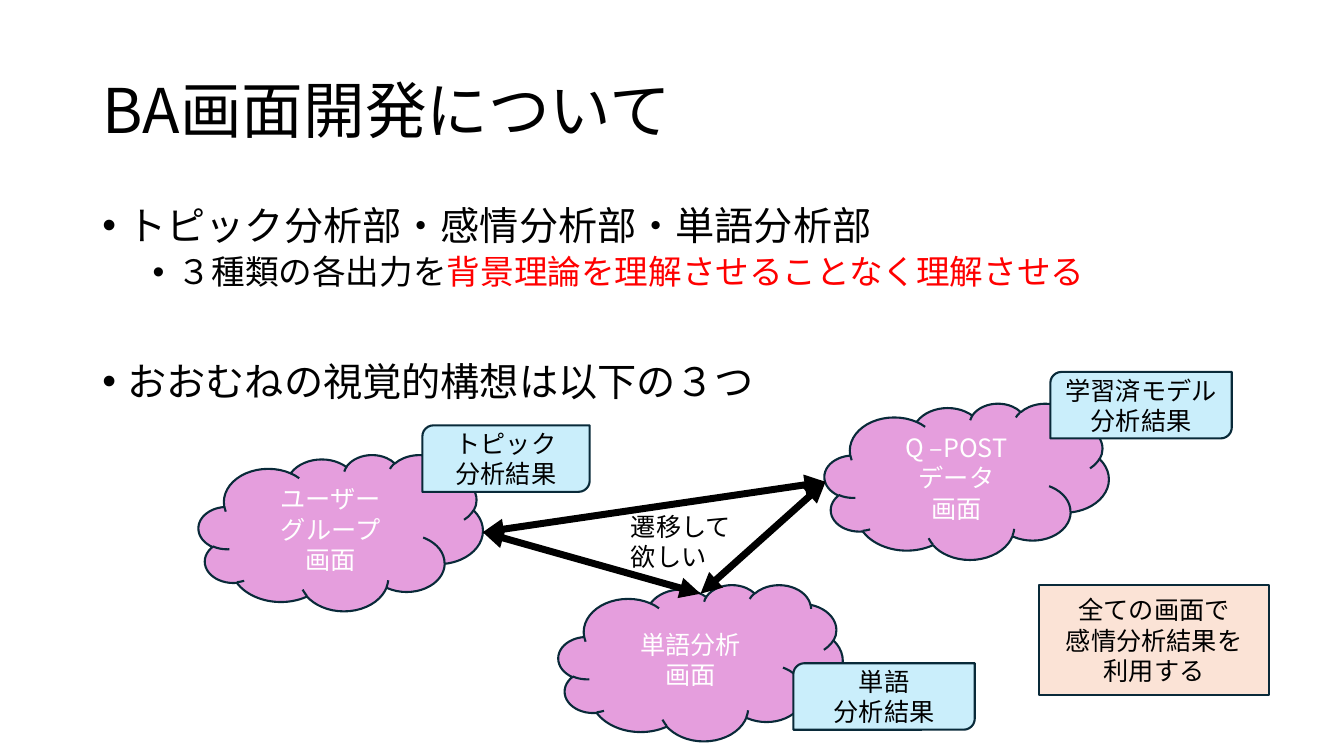
from dataclasses import dataclass
from itertools import combinations

from lxml.etree import SubElement
from pptx import Presentation
from pptx.dml.color import RGBColor
from pptx.enum.shapes import MSO_CONNECTOR, MSO_SHAPE
from pptx.enum.text import MSO_ANCHOR, PP_ALIGN
from pptx.oxml.ns import qn
from pptx.util import Emu, Inches, Pt

FONT = "Noto Sans CJK JP"
BLACK = RGBColor(0x00, 0x00, 0x00)
WHITE = RGBColor(0xFF, 0xFF, 0xFF)
RED = RGBColor(0xFF, 0x00, 0x00)
NAVY = RGBColor(0x09, 0x2A, 0x39)
PINK = RGBColor(0xE5, 0x9E, 0xDD)
SKY = RGBColor(0xCA, 0xEE, 0xFB)
PEACH = RGBColor(0xFB, 0xE3, 0xD6)

COLUMNS, ROWS = 40, 22.5
SLIDE_W, SLIDE_H = Inches(13.33), Inches(7.5)


@dataclass(frozen=True)
class Box:
    """A rectangle in grid columns and rows."""
    col: float
    row: float
    cols: float
    rows: float

    def emu(self) -> tuple:
        return (x(self.col), y(self.row), x(self.cols), y(self.rows))


@dataclass(frozen=True)
class Style:
    shape: MSO_SHAPE
    fill: RGBColor
    color: RGBColor


@dataclass(frozen=True)
class Node:
    style: Style
    box: Box
    lines: tuple


@dataclass(frozen=True)
class Bullet:
    runs: tuple
    size: int
    margin: float
    before: int


SCREEN = Style(MSO_SHAPE.CLOUD, PINK, WHITE)
RESULT = Style(MSO_SHAPE.ROUND_2_DIAG_RECTANGLE, SKY, BLACK)
NOTE = Style(MSO_SHAPE.RECTANGLE, PEACH, BLACK)

TITLE_BOX = Box(2.75, 1.2, 34.5, 4.35)
BODY_BOX = Box(2.75, 6, 34.5, 14.28)
CAPTION_BOX = Box(18.48, 15.06, 3.66, 2.13)

BULLETS = (
    Bullet((("トピック分析部・感情分析部・単語分析部", BLACK),), 28, 0.25, 10),
    Bullet((("３種類の各出力を", BLACK),
            ("背景理論を理解させることなく理解させる", RED)), 24, 0.75, 5),
    Bullet((("おおむねの視覚的構想は以下の３つ", BLACK),), 28, 0.25, 50),
)

NODES = (
    Node(SCREEN, Box(5.91, 13.53, 8.46, 4.65), ("ユーザー", "グループ", "画面")),
    Node(SCREEN, Box(24.54, 12, 8.46, 4.65), ("Q –POST", "データ", "画面")),
    Node(SCREEN, Box(16.62, 17.4, 8.46, 4.65), ("単語分析", "画面")),
    Node(RESULT, Box(12.57, 12.66, 4.98, 1.98), ("トピック", "分析結果")),
    Node(RESULT, Box(31.26, 11.07, 5.4, 1.98), ("学習済モデル", "分析結果")),
    Node(RESULT, Box(23.61, 19.74, 5.4, 1.98), ("単語", "分析結果")),
    Node(NOTE, Box(30.93, 17.4, 6.84, 3.3),
         ("全ての画面で", "感情分析結果を", "利用する")),
)

# Where the arrows meet the edges of the three clouds
CLOUD_EDGES = ((14.37, 15.84), (24.57, 14.34), (20.85, 17.67))


def x(cols: float) -> Emu:
    return Emu(round(SLIDE_W * cols / COLUMNS))


def y(rows: float) -> Emu:
    return Emu(round(SLIDE_H * rows / ROWS))


def add_run(p, text: str, size: int, color: RGBColor) -> None:
    r = p.add_run()
    r.text = text
    r.font.size = Pt(size)
    r.font.name = FONT
    r.font.color.rgb = color
    SubElement(r.font._element, qn("a:ea"), typeface=FONT)


def add_lines(p, lines: tuple, color: RGBColor) -> None:
    for i, line in enumerate(lines):
        if i:
            p.add_line_break()
        add_run(p, line, 18, color)


def add_text_frame(s, box: Box, anchor: MSO_ANCHOR = MSO_ANCHOR.TOP):
    tf = s.shapes.add_textbox(*box.emu()).text_frame
    tf.word_wrap = True
    tf.vertical_anchor = anchor
    return tf


def add_title(s, text: str) -> None:
    p = add_text_frame(s, TITLE_BOX, MSO_ANCHOR.MIDDLE).paragraphs[0]
    p.line_spacing = 0.9
    add_run(p, text, 44, BLACK)


def add_bullets(s, bullets: tuple) -> None:
    tf = add_text_frame(s, BODY_BOX)
    for i, bullet in enumerate(bullets):
        p = tf.add_paragraph() if i else tf.paragraphs[0]
        p.line_spacing = 0.9
        p.space_before = Pt(bullet.before)
        pPr = p._p.get_or_add_pPr()
        pPr.set("marL", str(Inches(bullet.margin)))
        pPr.set("indent", str(-Inches(0.25)))
        SubElement(pPr, qn("a:buFont"), typeface="Arial")
        SubElement(pPr, qn("a:buChar"), char="•")
        for text, color in bullet.runs:
            add_run(p, text, bullet.size, color)


def add_node(s, node: Node) -> None:
    sp = s.shapes.add_shape(node.style.shape, *node.box.emu())
    sp.shadow.inherit = False
    sp.fill.solid()
    sp.fill.fore_color.rgb = node.style.fill
    sp.line.color.rgb = NAVY
    sp.line.width = Pt(1.5)
    tf = sp.text_frame
    tf.word_wrap = True
    tf.vertical_anchor = MSO_ANCHOR.MIDDLE
    p = tf.paragraphs[0]
    p.alignment = PP_ALIGN.CENTER
    add_lines(p, node.lines, node.style.color)


def add_double_arrow(s, start: tuple, end: tuple) -> None:
    cxn = s.shapes.add_connector(MSO_CONNECTOR.STRAIGHT, x(start[0]), y(start[1]),
                                 x(end[0]), y(end[1]))
    cxn.line.color.rgb = BLACK
    cxn.line.width = Pt(5)
    ln = cxn.line._get_or_add_ln()
    for tag in ("a:headEnd", "a:tailEnd"):
        SubElement(ln, qn(tag), type="triangle")
    SubElement(cxn._element.spPr, qn("a:effectLst"))


def main() -> None:
    prs = Presentation()
    prs.slide_width, prs.slide_height = SLIDE_W, SLIDE_H
    s = prs.slides.add_slide(prs.slide_layouts[6])
    add_title(s, "BA画面開発について")
    add_bullets(s, BULLETS)
    for node in NODES:
        add_node(s, node)
    for start, end in combinations(CLOUD_EDGES, 2):
        add_double_arrow(s, start, end)
    caption = add_text_frame(s, CAPTION_BOX)
    add_lines(caption.paragraphs[0], ("遷移して", "欲しい"), BLACK)
    prs.save("out.pptx")


if __name__ == "__main__":
    main()
